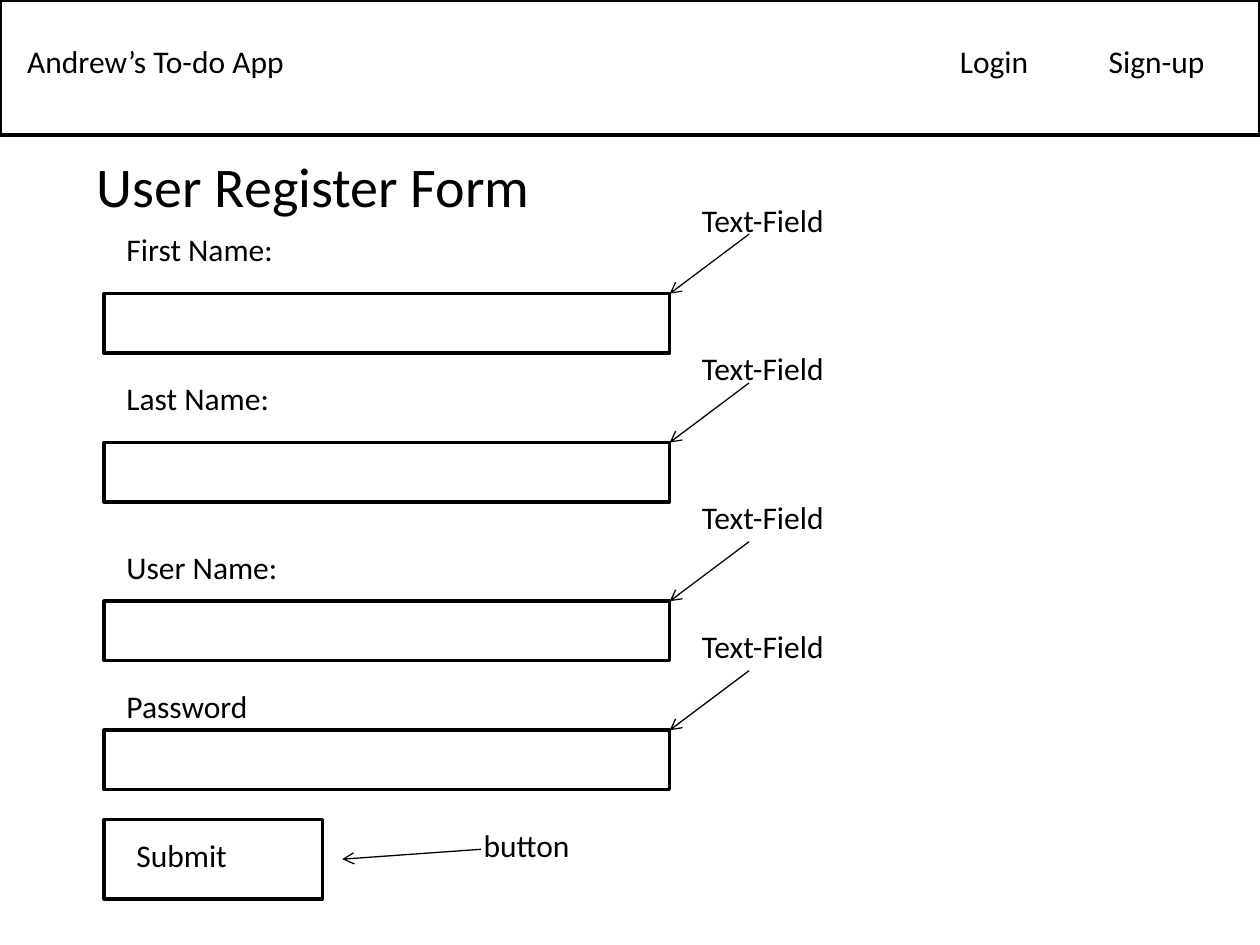
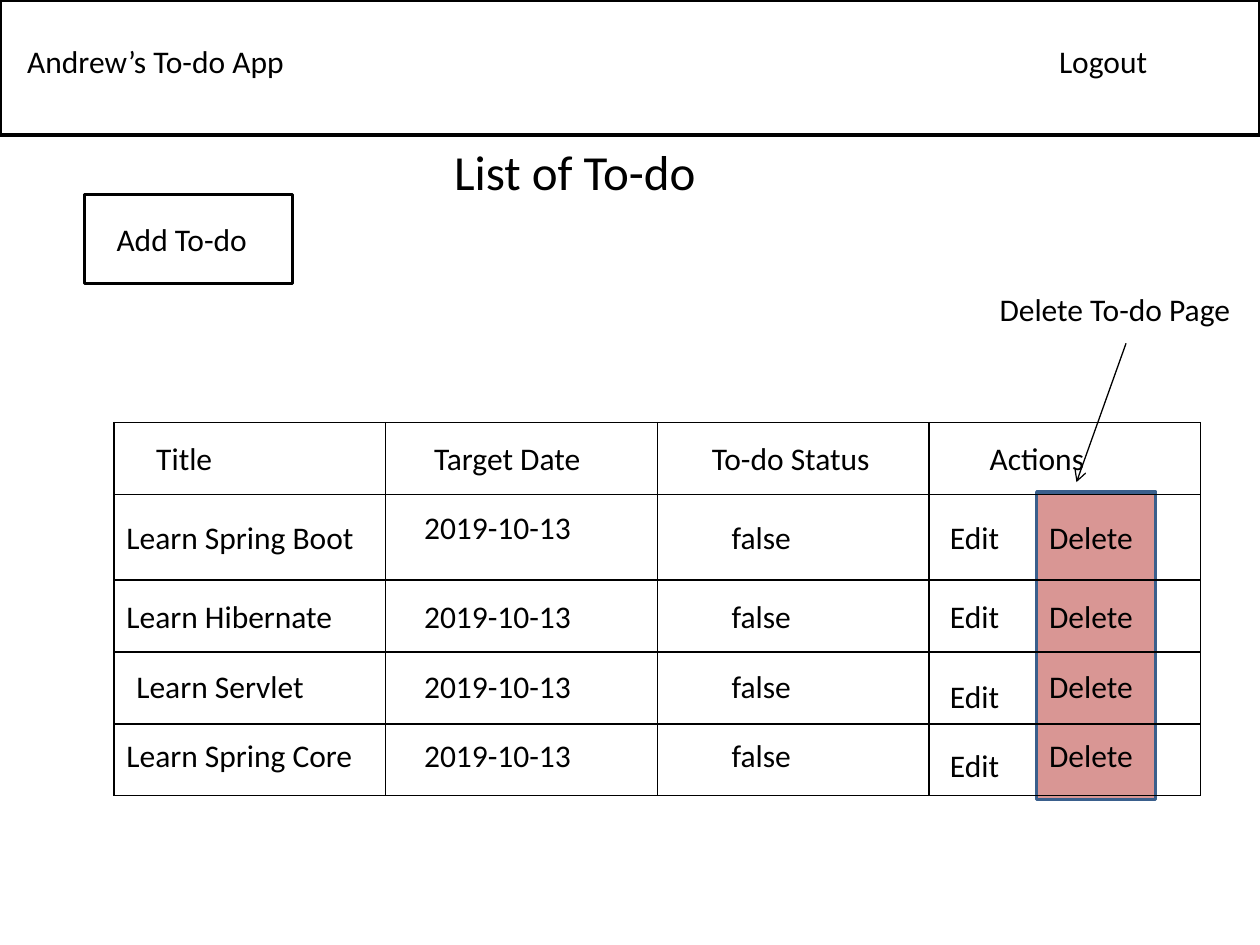
from dataclasses import dataclass

from lxml import etree
from pptx import Presentation
from pptx.dml.color import RGBColor
from pptx.enum.shapes import MSO_CONNECTOR, MSO_SHAPE
from pptx.enum.text import MSO_ANCHOR, MSO_AUTO_SIZE, PP_ALIGN
from pptx.oxml.ns import qn
from pptx.util import Inches, Pt

RECTANGLE = MSO_SHAPE.RECTANGLE
STRAIGHT = MSO_CONNECTOR.STRAIGHT
TOP = MSO_ANCHOR.TOP
LEFT = PP_ALIGN.LEFT
NO_AUTOFIT = MSO_AUTO_SIZE.NONE
GROW = MSO_AUTO_SIZE.SHAPE_TO_FIT_TEXT

BLACK = RGBColor(0x00, 0x00, 0x00)
WHITE = RGBColor(0xFF, 0xFF, 0xFF)
ROSE = RGBColor(0xD9, 0x96, 0x94)
STEEL_BLUE = RGBColor(0x3A, 0x5F, 0x8C)

FONT = "Calibri"
SLIDE_WIDTH = Inches(10)
SLIDE_HEIGHT = Inches(7.5)
UNIT = SLIDE_WIDTH / 127
TEXT_ROWS = 5
HEADER_ROWS = 13.6
TITLE_ONLY = 5


def span(units):
    return round(units * UNIT)


@dataclass(frozen=True)
class Box:
    left: float
    top: float
    width: float
    height: float

    def inner(self, column, row, width, height=TEXT_ROWS):
        return Box(self.left + column, self.top + row, width, height)

    def point(self, column, row):
        return span(self.left + column), span(self.top + row)

    def frame(self):
        return [span(length) for length in (self.left, self.top, self.width, self.height)]


HEADER = Box(0, 0, 127, HEADER_ROWS)
BODY = Box(0.5, HEADER_ROWS, 126, 81)


def format_text(text_frame, text, size):
    text_frame.text = text
    text_frame.vertical_anchor = TOP
    paragraph = text_frame.paragraphs[0]
    paragraph.alignment = LEFT
    paragraph.font.name = FONT
    paragraph.font.size = Pt(size)
    paragraph.font.color.rgb = BLACK


def add_label(slide, box, text):
    text_frame = slide.shapes.add_textbox(*box.frame()).text_frame
    format_text(text_frame, text, 18)
    text_frame.word_wrap = True
    text_frame.auto_size = GROW


def add_rectangle(slide, box, fill=WHITE, line=BLACK):
    shape = slide.shapes.add_shape(RECTANGLE, *box.frame())
    shape.shadow.inherit = False
    shape.fill.solid()
    shape.fill.fore_color.rgb = fill
    shape.line.color.rgb = line
    shape.line.width = Pt(2)


def add_arrow(slide, start, end):
    connector = slide.shapes.add_connector(STRAIGHT, *start, *end)
    connector.line.color.rgb = BLACK
    connector.line.width = Pt(0.75)
    properties = connector._element.spPr
    etree.SubElement(properties.find(qn("a:ln")), qn("a:tailEnd"), type="arrow")
    etree.SubElement(properties, qn("a:effectLst"))


def add_page(presentation, title, title_box, title_size, links):
    slide = presentation.slides.add_slide(presentation.slide_layouts[TITLE_ONLY])
    placeholder = slide.shapes.title
    placeholder.left, placeholder.top, placeholder.width, placeholder.height = title_box.frame()
    format_text(placeholder.text_frame, title, title_size)
    placeholder.text_frame.auto_size = NO_AUTOFIT
    add_header(slide, HEADER, links)
    return slide


def add_header(slide, box, links):
    add_rectangle(slide, box)
    for text, column, width in [("Andrew’s To-do App", 1.5, 34), *links]:
        add_label(slide, box.inner(column, 3.6, width), text)


def add_field(slide, box, name, name_row, name_width, note_row):
    add_rectangle(slide, box)
    add_label(slide, box.inner(1, name_row, name_width), name)
    add_arrow(slide, box.point(box.width + 8, -6), box.point(box.width, 0))
    add_label(slide, box.inner(box.width + 2, note_row, 22), "Text-Field")


def add_button(slide, box, text, text_row, text_width):
    add_rectangle(slide, box)
    add_label(slide, box.inner(2, text_row, text_width), text)


def add_register_form(slide, box):
    fields = [
        ("First Name:", 16, -7, 26, -10),
        ("Last Name:", 31, -7, 31, -10),
        ("User Name:", 47, -6, 23, -11),
        ("Password", 60, -5, 18, -11),
    ]
    for name, row, name_row, name_width, note_row in fields:
        add_field(slide, box.inner(10, row, 57, 6), name, name_row, name_width, note_row)
    add_button(slide, box.inner(10, 69, 22, 8), "Submit", 1, 16)
    add_arrow(slide, box.point(48, 72), box.point(34, 73))
    add_label(slide, box.inner(47, 69, 15), "button")


def add_grid(slide, box, row_heights, column_count):
    table_shape = slide.shapes.add_table(len(row_heights), column_count, *box.frame())
    table = table_shape.table
    table.first_row = table.horz_banding = False
    for column in table.columns:
        column.width = span(box.width / column_count)
    for row, height in zip(table.rows, row_heights):
        row.height = span(height)
    for cell in table.iter_cells():
        properties = cell._tc.get_or_add_tcPr()
        for side in ("lnL", "lnR", "lnT", "lnB"):
            border = etree.SubElement(properties, qn(f"a:{side}"), w=str(Pt(1)))
            fill = etree.SubElement(border, qn("a:solidFill"))
            etree.SubElement(fill, qn("a:srgbClr"), val=str(BLACK))
        cell.fill.background()


def add_todo_table(slide, box):
    add_rectangle(slide, box.inner(93, 7, 12, 31), ROSE, STEEL_BLUE)
    add_grid(slide, box, [7.24, 8.64, 7.24, 7.24, 7.24], 4)
    headings = [
        ("Title", 3, 15),
        ("Target Date", 31, 26),
        ("To-do Status", 59, 19),
        ("Actions", 87, 16),
    ]
    for text, column, width in headings:
        add_label(slide, box.inner(column, 1, width), text)
    todos = [
        ("Learn Spring Boot", 0, 28, 9, 8, 9),
        ("Learn Hibernate", 0, 28, 17, 17, 17),
        ("Learn Servlet", 1, 22, 24, 24, 25),
        ("Learn Spring Core", 0, 30, 31, 31, 32),
    ]
    for title, column, width, row, date_row, edit_row in todos:
        add_label(slide, box.inner(column, row, width), title)
        add_label(slide, box.inner(30, date_row, 19), "2019-10-13")
        add_label(slide, box.inner(61, row, 11), "false")
        add_label(slide, box.inner(83, edit_row, 10), "Edit")
        add_label(slide, box.inner(93, row, 14), "Delete")


def add_todo_list(slide, box):
    add_button(slide, box.inner(8, 6, 21, 9), "Add To-do", 2, 18)
    add_todo_table(slide, box.inner(11, 29, 109.5, 37.6))
    add_arrow(slide, box.point(113, 21), box.point(108, 35))
    add_label(slide, box.inner(99, 15, 33), "Delete To-do Page")


def main():
    presentation = Presentation()
    presentation.slide_width = SLIDE_WIDTH
    presentation.slide_height = SLIDE_HEIGHT

    register_links = [("Login", 95.5, 10), ("Sign-up", 110.5, 13)]
    register_title = BODY.inner(8, 1, 52, 8)
    register_slide = add_page(presentation, "User Register Form", register_title, 32, register_links)
    add_register_form(register_slide, BODY)

    list_links = [("Logout", 105.5, 12)]
    list_title = BODY.inner(44, 0, 29, 7.2)
    list_slide = add_page(presentation, "List of To-do", list_title, 28, list_links)
    add_todo_list(list_slide, BODY)

    presentation.save("out.pptx")


if __name__ == "__main__":
    main()
